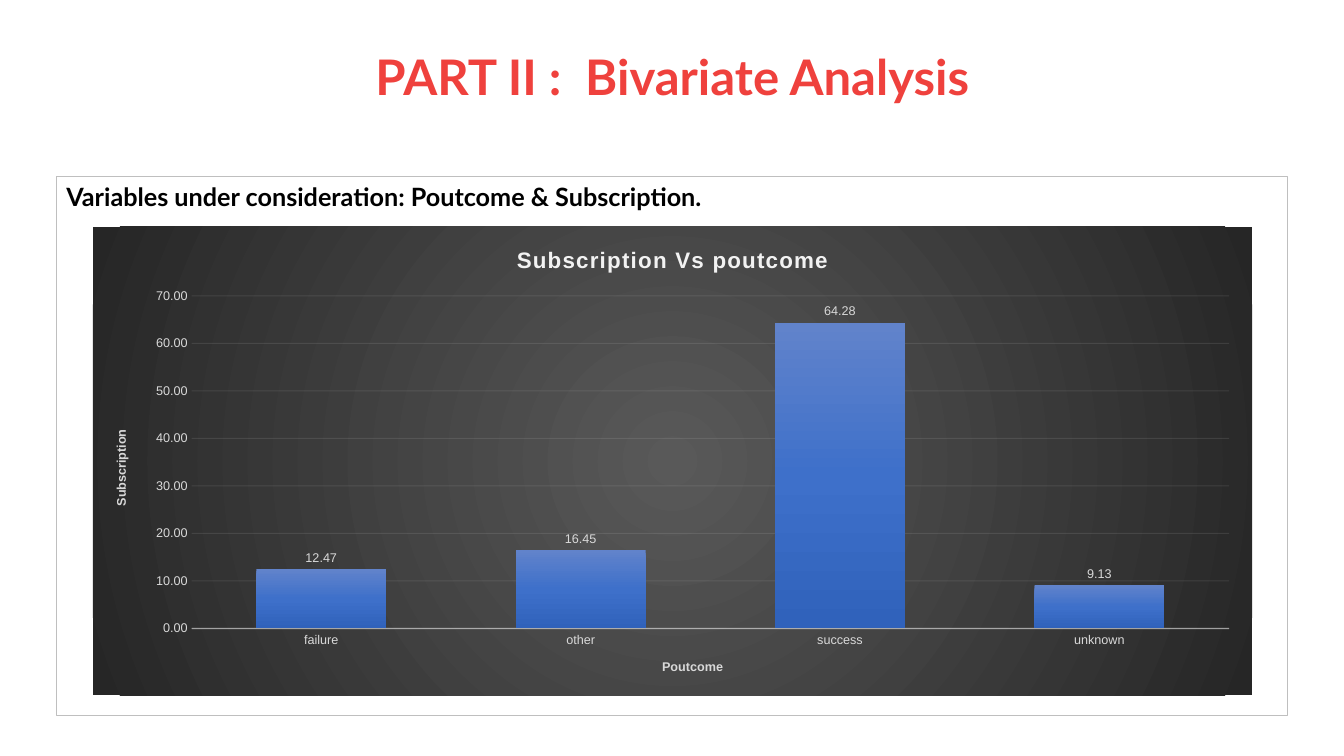
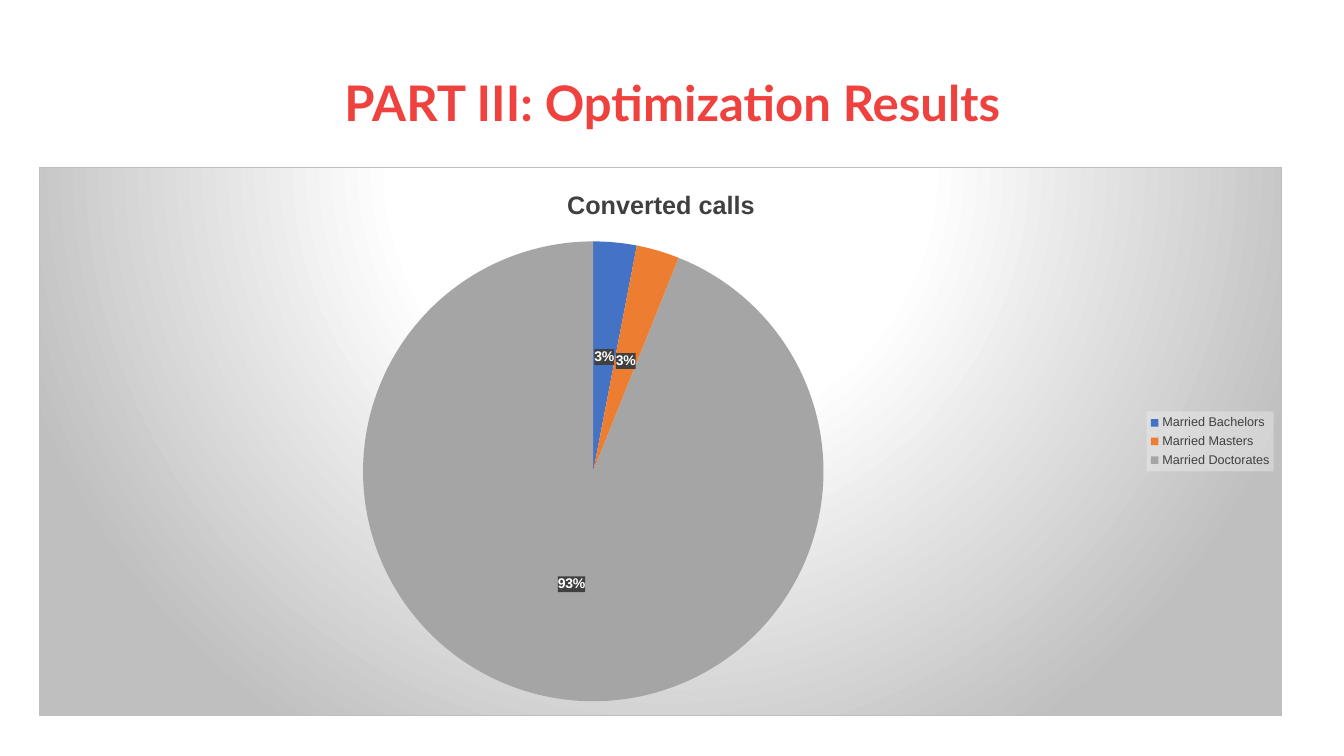
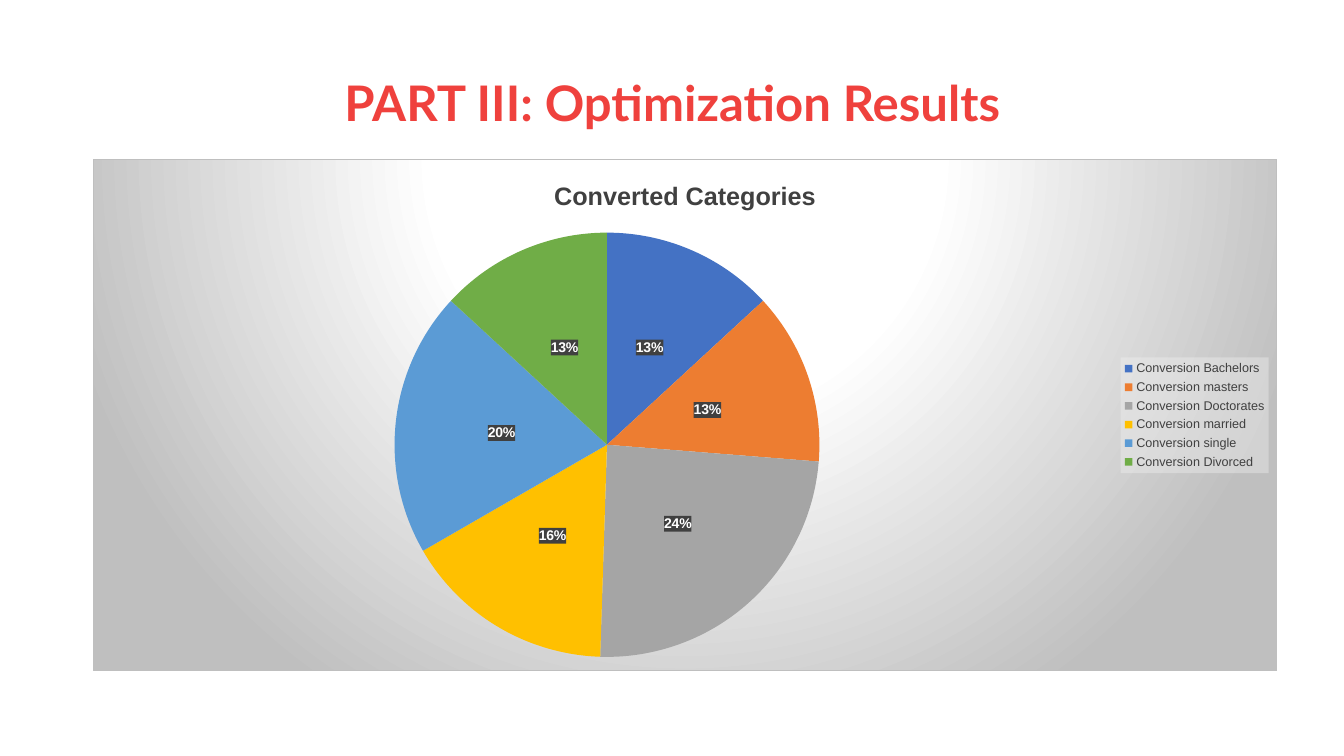
from dataclasses import dataclass

from pptx import Presentation, oxml
from pptx import util as u
from pptx.chart import data
from pptx.dml.color import RGBColor
from pptx.enum import chart as kinds
from pptx.enum import shapes, text
from pptx.oxml import ns

CHART_FONT = "Arial"
TITLE_FONT = "Lato"
RED = "EF413D"
BLACK = "000000"
WHITE = "FFFFFF"
CHARCOAL = "404040"
SILVER = "BFBFBF"
MIST = "F2F2F2"
PALE = "D9D9D9"
SLICE_COLOURS = ("4472C4", "ED7D31", "A5A5A5", "FFC000", "5B9BD5", "70AD47")


@dataclass(frozen=True)
class Frame:
    left: float
    top: float
    width: float
    height: float

    def lengths(self) -> tuple:
        return tuple(u.Inches(n) for n in (self.left, self.top, self.width, self.height))


@dataclass(frozen=True)
class Gradient:
    stops: tuple
    focus: tuple = ()
    angle: int = 0

    def xml(self) -> str:
        stops = "".join(
            f'<a:gs pos="{at * 1000}"><a:srgbClr val="{colour}"/></a:gs>'
            for at, colour in self.stops
        )
        if self.focus:
            edges = " ".join(f'{side}="{n * 1000}"' for side, n in zip("ltrb", self.focus))
            direction = f'<a:path path="circle"><a:fillToRect {edges}/></a:path>'
        else:
            direction = f'<a:lin ang="{self.angle * 60000}" scaled="0"/>'
        return f'<a:gradFill {ns.nsdecls("a")}><a:gsLst>{stops}</a:gsLst>{direction}</a:gradFill>'


@dataclass(frozen=True)
class Pie:
    heading: str
    frame: Frame
    shares: dict


TITLE_FRAME = Frame(0.92, 0.4, 11.5, 1.45)
DARK_GLOW = Gradient(((0, "595959"), (100, "262626")), focus=(50, 50, 50, 50))
LIGHT_GLOW = Gradient(((0, WHITE), (39, WHITE), (100, SILVER)), focus=(50, -80, 50, 180))
COLUMN_BLUE = Gradient(((0, "6183CB"), (50, "3E70CA"), (100, "3062BB")), angle=90)

OUTCOMES = {"failure": 12.47, "other": 16.45, "success": 64.28, "unknown": 9.13}
PIES = (
    Pie(
        "Converted calls",
        Frame(0.39, 1.66, 12.33, 5.44),
        {"Married Bachelors": 3, "Married Masters": 3, "Married Doctorates": 93},
    ),
    Pie(
        "Converted Categories",
        Frame(0.92, 1.58, 11.75, 5.08),
        {
            "Conversion Bachelors": 13,
            "Conversion masters": 13,
            "Conversion Doctorates": 24,
            "Conversion married": 16,
            "Conversion single": 20,
            "Conversion Divorced": 13,
        },
    ),
)


def rgb(colour: str) -> RGBColor:
    return RGBColor.from_string(colour)


def style(font, size: float, colour: str, bold: bool = False, name: str = CHART_FONT) -> None:
    font.size = u.Pt(size)
    font.name = name
    font.bold = bold
    font.color.rgb = rgb(colour)


def write(frame, words: str, size: float, colour: str, name: str = CHART_FONT):
    run = frame.paragraphs[0].add_run()
    run.text = words
    style(run.font, size, colour, True, name)
    return run


def solid(colour: str, opacity: int) -> str:
    return (
        f'<a:solidFill><a:srgbClr val="{colour}">'
        f'<a:alpha val="{opacity * 1000}"/></a:srgbClr></a:solidFill>'
    )


def back(owner, fill: str, border: str = "") -> None:
    outline = (
        f'<a:ln w="9525"><a:solidFill><a:srgbClr val="{border}"/></a:solidFill></a:ln>'
        if border
        else "<a:ln><a:noFill/></a:ln>"
    )
    backing = oxml.parse_xml(f'<c:spPr {ns.nsdecls("c", "a")}>{fill}{outline}</c:spPr>')
    owner.find(ns.qn("c:txPr")).addprevious(backing)


def thin_line(line, colour: str, width: float, opacity: int) -> None:
    line.width = u.Pt(width)
    line.color.rgb = rgb(colour)
    tint = line.fill._xPr.find(".//" + ns.qn("a:srgbClr"))
    tint.append(oxml.parse_xml(f'<a:alpha {ns.nsdecls("a")} val="{opacity * 1000}"/>'))


def add_titled_slide(deck, heading: str, lift: float):
    slide = deck.slides.add_slide(deck.slide_layouts[5])
    title = slide.shapes.title
    title.left, title.top, title.width, title.height = TITLE_FRAME.lengths()
    frame = title.text_frame
    frame.word_wrap = True
    frame.auto_size = text.MSO_AUTO_SIZE.NONE
    frame.vertical_anchor = text.MSO_ANCHOR.MIDDLE
    frame.margin_left = frame.margin_right = u.Inches(0.1)
    frame.margin_top = u.Inches(0.05)
    frame.margin_bottom = u.Inches(0.05 + lift)
    frame.paragraphs[0].alignment = text.PP_ALIGN.CENTER
    frame.paragraphs[0].line_spacing = 0.9
    write(frame, heading, 35, RED, TITLE_FONT)
    return slide


def add_panel(slide, frame: Frame, caption: str) -> None:
    panel = slide.shapes.add_shape(shapes.MSO_SHAPE.RECTANGLE, *frame.lengths())
    panel.shadow.inherit = False
    panel.fill.background()
    panel.line.color.rgb = rgb(SILVER)
    panel.line.width = u.Pt(0.75)
    panel.text_frame.word_wrap = True
    panel.text_frame.vertical_anchor = text.MSO_ANCHOR.TOP
    panel.text_frame.paragraphs[0].alignment = text.PP_ALIGN.LEFT
    write(panel.text_frame, caption, 18, BLACK, TITLE_FONT)


def add_chart(slide, kind, frame: Frame, values: dict, glow: Gradient, border: str = ""):
    figures = data.CategoryChartData()
    figures.categories = list(values)
    figures.add_series("Series 1", list(values.values()))
    chart = slide.shapes.add_chart(kind, *frame.lengths(), figures).chart
    style(chart.font, 10, BLACK)
    back(chart._chartSpace, glow.xml(), border)
    chart.has_title = True
    chart.has_legend = False
    return chart


def add_labels(plot, size: float, colour: str, bold: bool, pattern: str, position):
    plot.has_data_labels = True
    labels = plot.data_labels
    labels.show_value = True
    labels.number_format = pattern
    labels.number_format_is_linked = False
    labels.position = position
    style(labels.font, size, colour, bold)
    return labels


def style_axis(axis, name: str) -> None:
    write(axis.axis_title.text_frame, name, 9, PALE)
    axis.major_tick_mark = axis.minor_tick_mark = kinds.XL_TICK_MARK.NONE
    style(axis.tick_labels.font, 9, PALE)


def add_outcome_columns(slide) -> None:
    chart = add_chart(
        slide,
        kinds.XL_CHART_TYPE.COLUMN_CLUSTERED,
        Frame(0.92, 2.25, 11.5, 4.65),
        OUTCOMES,
        DARK_GLOW,
    )
    heading = write(chart.chart_title.text_frame, "Subscription Vs poutcome", 16, MIST)
    heading.font._element.set("spc", "100")

    outcome, subscription = chart.category_axis, chart.value_axis
    style_axis(outcome, "Poutcome")
    style_axis(subscription, "Subscription")
    thin_line(outcome.format.line, MIST, 1, 54)
    subscription.format.line.fill.background()
    subscription.has_major_gridlines = True
    thin_line(subscription.major_gridlines.format.line, MIST, 0.75, 10)
    subscription.tick_labels.number_format = "0.00"
    subscription.tick_labels.number_format_is_linked = False
    turned = subscription.axis_title.text_frame._txBody.bodyPr
    turned.set("rot", "-5400000")
    turned.set("vert", "horz")

    plot = chart.plots[0]
    plot.vary_by_categories = False
    plot.gap_width = 100
    plot.overlap = -24
    columns = plot.series[0].format.fill
    columns.solid()
    flat = columns._xPr.find(ns.qn("a:solidFill"))
    columns._xPr.replace(flat, oxml.parse_xml(COLUMN_BLUE.xml()))
    add_labels(plot, 9, PALE, False, "0.00", kinds.XL_LABEL_POSITION.OUTSIDE_END)


def add_pie(slide, pie: Pie) -> None:
    chart = add_chart(
        slide, kinds.XL_CHART_TYPE.PIE, pie.frame, pie.shares, LIGHT_GLOW, SILVER
    )
    write(chart.chart_title.text_frame, pie.heading, 18, CHARCOAL)
    chart.has_legend = True
    legend = chart.legend
    legend.position = kinds.XL_LEGEND_POSITION.RIGHT
    legend.include_in_layout = False
    style(legend.font, 9, CHARCOAL)
    back(legend._element, solid(MIST, 39))

    plot = chart.plots[0]
    plot.vary_by_categories = True
    for index, colour in enumerate(SLICE_COLOURS[: len(pie.shares)]):
        wedge = plot.series[0].points[index].format.fill
        wedge.solid()
        wedge.fore_color.rgb = rgb(colour)
    labels = add_labels(plot, 10, WHITE, True, '0"%"', kinds.XL_LABEL_POSITION.CENTER)
    back(labels._element, solid(CHARCOAL, 90))


def main() -> None:
    deck = Presentation()
    deck.slide_width = u.Inches(13.33)
    deck.slide_height = u.Inches(7.5)

    bivariate = add_titled_slide(deck, "PART II :  Bivariate Analysis", 0.68)
    add_panel(
        bivariate,
        Frame(0.56, 1.75, 12.21, 5.35),
        "Variables under consideration: Poutcome & Subscription.",
    )
    add_outcome_columns(bivariate)

    for pie in PIES:
        add_pie(add_titled_slide(deck, "PART III: Optimization Results", 0.15), pie)

    deck.save("out.pptx")


if __name__ == "__main__":
    main()
